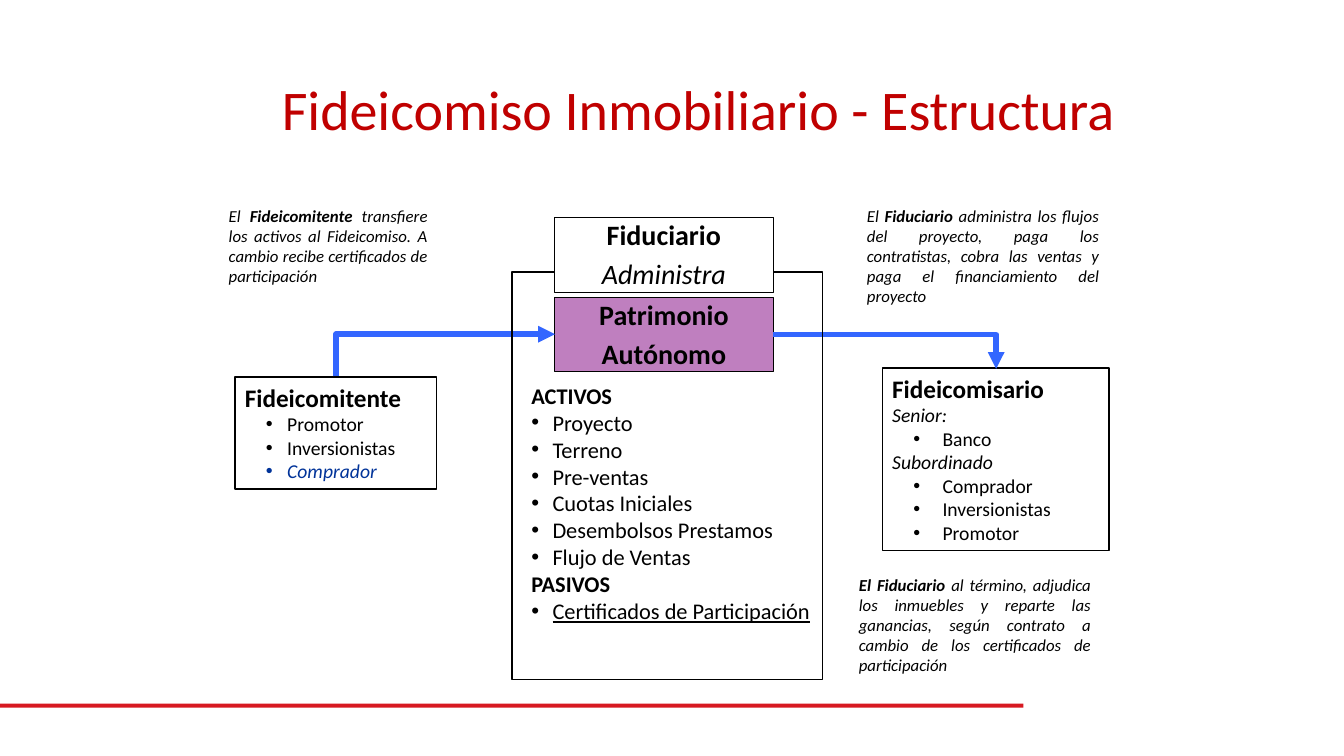
from lxml import etree
from pptx import Presentation
from pptx.dml.color import RGBColor
from pptx.enum import shapes, text
from pptx.oxml import ns
from pptx.util import Inches, Pt

FONT = "Calibri"
BLACK = RGBColor(0x00, 0x00, 0x00)
WHITE = RGBColor(0xFF, 0xFF, 0xFF)
PURPLE = RGBColor(0x80, 0x00, 0x80)
NAVY = RGBColor(0x00, 0x33, 0x99)
ARROW_BLUE = RGBColor(0x33, 0x66, 0xFF)
TITLE_RED = RGBColor(0xC0, 0x00, 0x00)
RULE_RED = RGBColor(0xD7, 0x19, 0x21)

ASSETS = ["Proyecto", "Terreno", "Pre-ventas", "Cuotas Iniciales",
          "Desembolsos Prestamos", "Flujo de Ventas"]


def add_child(parent, tag, **attributes):
    return etree.SubElement(parent, ns.qn(tag), attributes)


def place(shape, left, top, width, height):
    shape.left, shape.top = Inches(left), Inches(top)
    shape.width, shape.height = Inches(width), Inches(height)


def set_frame(shape, anchor=text.MSO_ANCHOR.TOP, inset=None):
    frame = shape.text_frame
    frame.word_wrap = True
    frame.auto_size = text.MSO_AUTO_SIZE.NONE
    frame.vertical_anchor = anchor
    if inset is not None:
        frame.margin_left = frame.margin_right = Inches(inset)
        frame.margin_top = frame.margin_bottom = Inches(inset)
    return frame


def add_run(paragraph, words, size, style="", color=BLACK):
    """Style holds any of the letters b, i and u."""
    run = paragraph.add_run()
    run.text = words
    font = run.font
    font.name, font.size = FONT, Pt(size)
    font.bold, font.italic, font.underline = (s in style for s in "biu")
    font.color.rgb = color


def next_paragraph(frame, align=text.PP_ALIGN.LEFT, before=0):
    first = frame.paragraphs[0]
    paragraph = frame.add_paragraph() if first.runs else first
    paragraph.alignment = align
    paragraph.space_before = Pt(before)
    return paragraph


def add_heading(frame, words, size, style="b"):
    paragraph = next_paragraph(frame)
    properties = paragraph._p.get_or_add_pPr()
    properties.set("marL", "0")
    properties.set("indent", "0")
    add_child(properties, "a:buNone")
    add_run(paragraph, words, size, style)


def add_bullet(frame, words, size, margin, hanging, style="", color=BLACK):
    paragraph = next_paragraph(frame)
    properties = paragraph._p.get_or_add_pPr()
    properties.set("marL", str(Inches(margin)))
    properties.set("indent", str(-Inches(hanging)))
    add_child(properties, "a:buFont", typeface="Arial")
    add_child(properties, "a:buChar", char="•")
    add_run(paragraph, words, size, style, color)


def add_box(slide, left, top, width, height, fill=None, line=BLACK, weight=1):
    box = slide.shapes.add_shape(
        shapes.MSO_SHAPE.RECTANGLE, Inches(left), Inches(top), Inches(width), Inches(height))
    box.shadow.inherit = False
    if fill is None:
        box.fill.background()
    else:
        box.fill.solid()
        box.fill.fore_color.rgb = fill
    if line is None:
        box.line.fill.background()
    else:
        box.line.color.rgb = line
        box.line.width = Pt(weight)
    return box


def add_center_box(slide, top, fill, lines):
    box = add_box(slide, 5.5, top, 2.17, 0.74, fill, weight=0.75)
    frame = set_frame(box, inset=0)
    for words, style in lines:
        add_run(next_paragraph(frame, text.PP_ALIGN.CENTER, before=4), words, 20, style)
    return box


def add_note(slide, left, top, width, height, runs):
    note = slide.shapes.add_textbox(
        Inches(left), Inches(top), Inches(width), Inches(height))
    paragraph = next_paragraph(set_frame(note), text.PP_ALIGN.JUSTIFY)
    for words, style in runs:
        add_run(paragraph, words, 12, style)


def add_bent_arrow(slide, left, top, width, height, rotation=0):
    """One-corner arrow; the box is given before rotation, in degrees."""
    arrow = slide.shapes.add_connector(
        shapes.MSO_CONNECTOR.ELBOW, Inches(left), Inches(top),
        Inches(left + width), Inches(top + height))
    arrow.line.color.rgb = ARROW_BLUE
    arrow.line.width = Pt(4)
    properties = arrow._element.spPr
    properties.find(ns.qn("a:prstGeom")).set("prst", "bentConnector2")
    properties.find(ns.qn("a:xfrm")).set("rot", str(rotation * 60000))
    add_child(properties.find(ns.qn("a:ln")), "a:tailEnd", type="triangle")
    add_child(properties, "a:effectLst")


def fill_title(title):
    place(title, 2.22, 0.78, 9.41, 0.58)
    frame = set_frame(title, text.MSO_ANCHOR.MIDDLE)
    add_run(next_paragraph(frame, text.PP_ALIGN.CENTER),
            "Fideicomiso Inmobiliario - Estructura", 40, color=TITLE_RED)


def fill_balance(balance):
    place(balance, 5.17, 3.74, 3, 2.53)
    frame = set_frame(balance)
    add_heading(frame, "ACTIVOS", 16)
    for asset in ASSETS:
        add_bullet(frame, asset, 16, 0.21, 0.21)
    add_heading(frame, "PASIVOS", 16)
    add_bullet(frame, "Certificados de Participación", 16, 0.21, 0.21, "u")


def add_settlor(slide):
    frame = set_frame(add_box(slide, 2.33, 3.74, 2, 1.11))
    add_heading(frame, "Fideicomitente", 18)
    for party in ("Promotor", "Inversionistas"):
        add_bullet(frame, party, 14, 0.42, 0.21)
    add_bullet(frame, "Comprador", 14, 0.42, 0.21, "i", NAVY)


def add_beneficiary(slide):
    frame = set_frame(add_box(slide, 8.75, 3.65, 2.25, 1.81))
    add_heading(frame, "Fideicomisario", 18)
    ranks = (("Senior:", ["Banco"]),
             ("Subordinado", ["Comprador", "Inversionistas", "Promotor"]))
    for rank, parties in ranks:
        add_heading(frame, rank, 14, "i")
        for party in parties:
            add_bullet(frame, party, 14, 0.5, 0.29)


def main():
    deck = Presentation()
    deck.slide_width, deck.slide_height = Inches(13.33), Inches(7.5)
    slide = deck.slides.add_slide(deck.slide_layouts[1])
    fill_title(slide.shapes.title)
    fill_balance(slide.placeholders[1])

    add_box(slide, 0, 6.98, 10.15, 0.04, RULE_RED, line=None)
    add_settlor(slide)
    add_beneficiary(slide)
    trust = add_center_box(slide, 2.95, PURPLE, [("Patrimonio", "b"), ("Autónomo", "b")])
    tint = trust._element.spPr.find(ns.qn("a:solidFill"))[0]
    add_child(tint, "a:alpha", val="50000")

    add_bent_arrow(slide, 4.21, 2.44, 0.42, 2.17, rotation=270)
    add_bent_arrow(slide, 7.67, 3.32, 2.21, 0.34)
    add_box(slide, 5.08, 2.7, 3.08, 4.04)
    add_center_box(slide, 2.16, WHITE, [("Fiduciario", "b"), ("Administra", "i")])

    add_note(slide, 2.17, 1.99, 2.17, 0.91, [
        ("El ", "i"), ("Fideicomitente", "bi"),
        (" transfiere los activos al Fideicomiso. A cambio recibe "
         "certificados de participación", "i")])
    add_note(slide, 8.42, 5.65, 2.5, 1.11, [
        ("El Fiduciario", "bi"),
        (" al término, adjudica los inmuebles y reparte las ganancias, según "
         "contrato a cambio de los certificados de participación", "i")])
    add_note(slide, 8.5, 1.99, 2.5, 1.11, [
        ("El ", "i"), ("Fiduciario", "bi"),
        (" administra los flujos del proyecto, paga los contratistas, cobra "
         "las ventas y paga el financiamiento del proyecto", "i")])
    deck.save("out.pptx")


if __name__ == "__main__":
    main()
